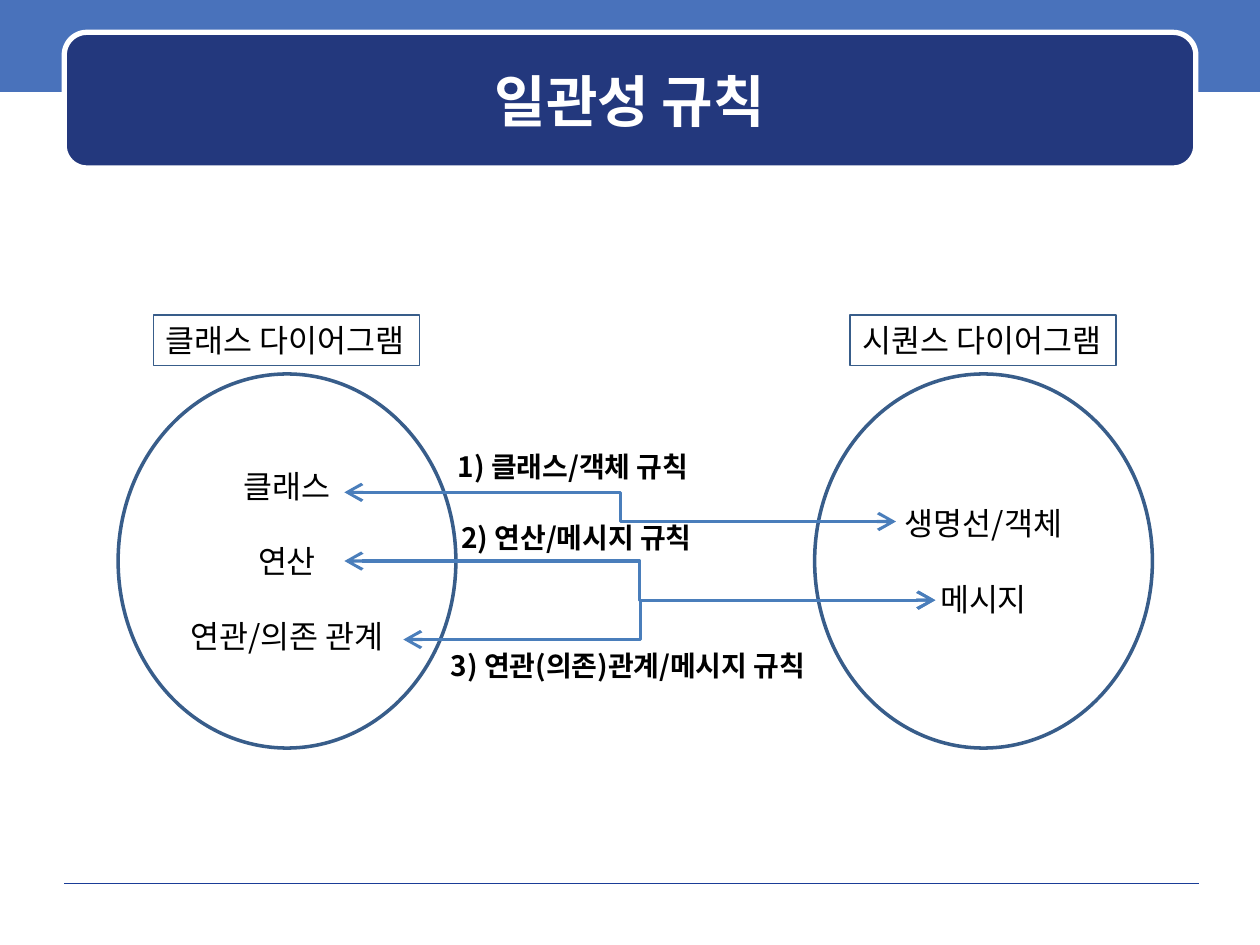
"""Build the consistency rules slide linking class and sequence diagrams."""
import pptx
import pptx.util
import pptx.dml.color
import pptx.enum.shapes
import pptx.enum.text
import pptx.oxml.ns
import lxml.etree

Pt = pptx.util.Pt
MSO_SHAPE = pptx.enum.shapes.MSO_SHAPE
MSO_CONNECTOR = pptx.enum.shapes.MSO_CONNECTOR
PP_ALIGN = pptx.enum.text.PP_ALIGN
MSO_ANCHOR = pptx.enum.text.MSO_ANCHOR
qn = pptx.oxml.ns.qn
FONT = "Noto Sans CJK KR"


def paint(fill, color):
    fill.solid()
    fill.fore_color.rgb = pptx.dml.color.RGBColor.from_string(color)


def write(sp, lines, size, color="000000", bold=False, align=PP_ALIGN.LEFT, gap=0):
    tf = sp.text_frame
    tf.text = "\n".join(lines)
    for i, p in enumerate(tf.paragraphs):
        p.alignment = align
        p.space_before = Pt(gap if i else 0)
        for r in p.runs:
            r.font.size = Pt(size)
            r.font.bold = bold
            r.font.name = FONT
            paint(r.font.fill, color)
            lxml.etree.SubElement(r.font._element, qn("a:ea"), typeface=FONT)
    return tf


prs = pptx.Presentation()
prs.slide_width, prs.slide_height = Pt(720), Pt(540)
s = prs.slides.add_slide(prs.slide_layouts[6])

band = s.shapes.add_shape(MSO_SHAPE.RECTANGLE, Pt(0), Pt(-2), Pt(720), Pt(54.5))
band.shadow.inherit = False
paint(band.fill, "4972BB")
band.line.fill.background()

rule = s.shapes.add_connector(MSO_CONNECTOR.STRAIGHT, Pt(36.7), Pt(504.7), Pt(685), Pt(504.7))
paint(rule.line.fill, "1A3D97")
rule.line.width = Pt(0.25)
lxml.etree.SubElement(rule._element.spPr, qn("a:effectLst"))

title = s.shapes.add_shape(MSO_SHAPE.ROUNDED_RECTANGLE, Pt(36.7), Pt(18.5), Pt(646.6), Pt(77.5))
title.shadow.inherit = False
paint(title.fill, "23387D")
paint(title.line.fill, "FFFFFF")
title.line.width = Pt(3)
tf = write(title, ["일관성 규칙"], 32, "FFFFFF", True, PP_ALIGN.CENTER)
tf.vertical_anchor = MSO_ANCHOR.MIDDLE

diagrams = [
    (465.5, "시퀀스 다이어그램", ["생명선/객체", "메시지"]),
    (67.5, "클래스 다이어그램", ["클래스", "연산", "연관/의존 관계"]),
]
for left, name, items in diagrams:
    oval = s.shapes.add_shape(MSO_SHAPE.OVAL, Pt(left), Pt(213.7), Pt(193), Pt(213.8))
    tf = write(oval, items, 18, align=PP_ALIGN.CENTER, gap=21.5)
    tf.vertical_anchor = MSO_ANCHOR.MIDDLE
    label = s.shapes.add_shape(MSO_SHAPE.RECTANGLE, Pt(left + 20.3), Pt(180), Pt(152), Pt(29))
    tf = write(label, [name], 18)
    tf.word_wrap = False
    tf.vertical_anchor = MSO_ANCHOR.TOP
    for sp, width in ((oval, 2), (label, 0.75)):
        sp.shadow.inherit = False
        sp.fill.background()
        paint(sp.line.fill, "385D8A")
        sp.line.width = Pt(width)

links = [
    (196.8, 281.3, 512, 298, 50000),
    (196.8, 320.6, 534.5, 343, 50000),
    (230.5, 365.5, 534.5, 343, 44600),
]
for x1, y1, x2, y2, bend in links:
    link = s.shapes.add_connector(MSO_CONNECTOR.ELBOW, Pt(x1), Pt(y1), Pt(x2), Pt(y2))
    paint(link.line.fill, "4A7EBB")
    link.line.width = Pt(1.75)
    spPr = link._element.spPr
    guides = spPr.find(qn("a:prstGeom")).get_or_add_avLst()
    lxml.etree.SubElement(guides, qn("a:gd"), name="adj1", fmla=f"val {bend}")
    for end in ("a:headEnd", "a:tailEnd"):
        lxml.etree.SubElement(spPr.find(qn("a:ln")), qn(end), type="arrow", w="lg", len="lg")
    lxml.etree.SubElement(spPr, qn("a:effectLst"))

rules = [
    (254.5, 253.5, 162, "1) 클래스/객체 규칙"),
    (256.5, 293.8, 162, "2) 연산/메시지 규칙"),
    (250.5, 367.2, 225, "3) 연관(의존)관계/메시지 규칙"),
]
for left, top, width, text in rules:
    box = s.shapes.add_textbox(Pt(left), Pt(top), Pt(width), Pt(26.6))
    tf = write(box, [text], 16, bold=True)
    tf.word_wrap = True

prs.save("out.pptx")
